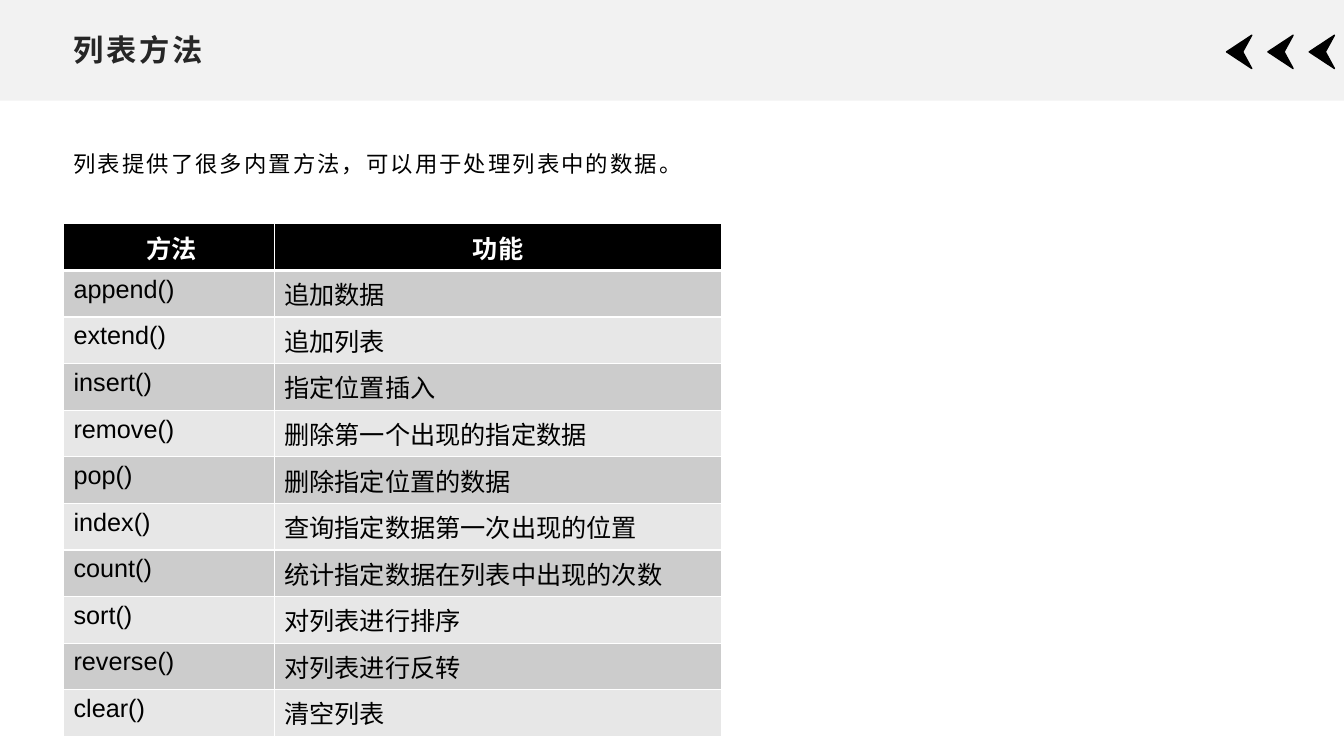
from lxml.etree import SubElement
from pptx import Presentation
from pptx.dml.color import RGBColor
from pptx.enum.lang import MSO_LANGUAGE_ID
from pptx.enum.shapes import MSO_SHAPE
from pptx.enum.text import MSO_ANCHOR, MSO_AUTO_SIZE, PP_ALIGN
from pptx.oxml import parse_xml
from pptx.oxml.ns import nsdecls, qn
from pptx.util import Inches, Pt

FONT = "Arial"
BLACK, WHITE = "000000", "FFFFFF"
ROW_FILLS = ("CCCCCC", "E7E7E7")

METHODS = [
    ("append()", "追加数据"),
    ("extend()", "追加列表"),
    ("insert()", "指定位置插入"),
    ("remove()", "删除第一个出现的指定数据"),
    ("pop()", "删除指定位置的数据"),
    ("index()", "查询指定数据第一次出现的位置"),
    ("count()", "统计指定数据在列表中出现的次数"),
    ("sort()", "对列表进行排序"),
    ("reverse()", "对列表进行反转"),
    ("clear()", "清空列表"),
]


def color(value):
    return RGBColor.from_string(value)


def paint(shape, fill, line=None):
    shape.shadow.inherit = False
    shape.fill.solid()
    shape.fill.fore_color.rgb = color(fill)
    if line:
        shape.line.color.rgb = color(line)
        shape.line.width = Pt(1)
    else:
        shape.line.fill.background()


def add_run(paragraph, text, size, text_color, bold=False, spacing=0):
    run = paragraph.add_run()
    run.text = text
    font = run.font
    font.name, font.size, font.bold = FONT, Pt(size), bold
    font.color.rgb = color(text_color)
    font.language_id = MSO_LANGUAGE_ID.SIMPLIFIED_CHINESE
    if spacing:
        run._r.get_or_add_rPr().set("spc", str(int(spacing * 100)))
    return run


def set_east_asian_font(run):
    SubElement(run._r.get_or_add_rPr(), qn("a:ea")).set("typeface", FONT)


def prepare_frame(shape):
    frame = shape.text_frame
    frame.word_wrap = True
    frame.auto_size = MSO_AUTO_SIZE.NONE
    frame.vertical_anchor = MSO_ANCHOR.MIDDLE
    frame.margin_left = frame.margin_right = Inches(0.1)
    frame.margin_top = frame.margin_bottom = Inches(0.05)
    paragraph = frame.paragraphs[0]
    paragraph.alignment = PP_ALIGN.LEFT
    return paragraph


def add_header(slide, left, top, width, height):
    # Grey band, behind the title
    title = slide.shapes.title
    band = slide.shapes.add_shape(
        MSO_SHAPE.RECTANGLE, Inches(left), Inches(top), Inches(width), Inches(height))
    paint(band, "F2F2F2")
    title.element.addprevious(band.element)

    # Three arrowheads at the right end
    for index in range(3):
        tip = left + width - 1.165 + index * 0.41
        middle = top + 0.515
        builder = slide.shapes.build_freeform(
            Inches(tip + 0.25), Inches(middle + 0.165), scale=1.0)
        builder.add_line_segments([
            (Inches(tip), Inches(middle)),
            (Inches(tip + 0.25), Inches(middle - 0.165)),
            (Inches(tip + 0.16), Inches(middle)),
        ], close=True)
        paint(builder.convert_to_shape(), BLACK, BLACK)

    # Title
    title.left, title.top = Inches(left + 0.63), Inches(top + 0.25)
    title.width, title.height = Inches(12.07), Inches(0.48)
    set_east_asian_font(add_run(
        prepare_frame(title), "列表方法", 21.6, "262626", bold=True, spacing=2))


def add_intro(slide, left, top, width, height):
    box = slide.shapes.add_textbox(
        Inches(left), Inches(top), Inches(width), Inches(height))
    paragraph = prepare_frame(box)
    paragraph.line_spacing = 1.3
    paragraph.space_after = Pt(10)
    set_east_asian_font(add_run(
        paragraph, "列表提供了很多内置方法，可以用于处理列表中的数据。",
        16, BLACK, spacing=1.5))


def set_borders(cell, top, bottom):
    widths = {"lnL": 1, "lnR": 1, "lnT": top, "lnB": bottom}
    properties = cell._tc.get_or_add_tcPr()
    for position, (side, width) in enumerate(widths.items()):
        properties.insert(position, parse_xml(
            f'<a:{side} {nsdecls("a")} w="{Pt(width)}"><a:solidFill>'
            f'<a:srgbClr val="{WHITE}"/></a:solidFill></a:{side}>'))


def add_method_table(slide, left, top, width, height):
    rows = [(" 方法", "功能")] + METHODS
    table = slide.shapes.add_table(
        len(rows), 2, Inches(left), Inches(top), Inches(width), Inches(height)).table
    table.columns[0].width = Inches(2.09)
    table.columns[1].width = Inches(width - 2.09)
    for row_index, texts in enumerate(rows):
        is_header = row_index == 0
        table.rows[row_index].height = Inches(height / len(rows))
        for column_index, text in enumerate(texts):
            cell = table.cell(row_index, column_index)
            cell.fill.solid()
            cell.fill.fore_color.rgb = color(
                BLACK if is_header else ROW_FILLS[(row_index - 1) % 2])
            set_borders(cell, 3 if row_index == 1 else 1, 3 if is_header else 1)
            paragraph = cell.text_frame.paragraphs[0]
            paragraph.alignment = PP_ALIGN.CENTER if is_header else PP_ALIGN.LEFT
            add_run(paragraph, text, 18, WHITE if is_header else BLACK, bold=is_header)


def main():
    presentation = Presentation()
    presentation.slide_width = Inches(13.33)
    presentation.slide_height = Inches(7.5)
    slide = presentation.slides.add_slide(presentation.slide_layouts[5])
    add_header(slide, 0, 0, 13.33, 1)
    add_intro(slide, 0.63, 1.34, 6.36, 0.48)
    add_method_table(slide, 0.63, 2.22, 6.53, 5.08)
    presentation.save("out.pptx")


if __name__ == "__main__":
    main()
